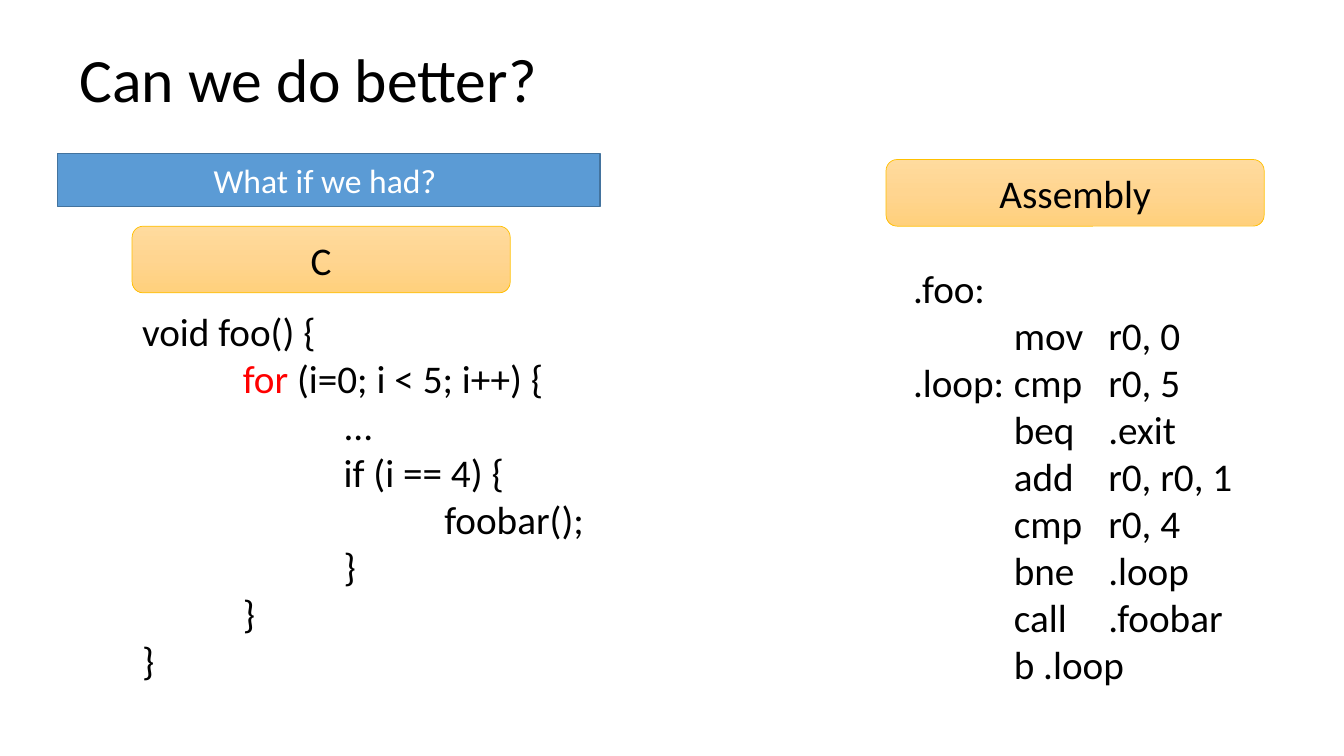
import copy

import pptx
import pptx.dml.color
import pptx.enum.shapes
import pptx.enum.text
import pptx.oxml
import pptx.oxml.ns
import pptx.util

Cm = pptx.util.Cm
Pt = pptx.util.Pt
SHAPE = pptx.enum.shapes.MSO_SHAPE
ALIGN = pptx.enum.text.PP_ALIGN
ANCHOR = pptx.enum.text.MSO_ANCHOR

FONT = "Calibri"
COLORS = {
    "text": "000000",
    "light": "FFFFFF",
    "key": "FF0000",
    "blue": "5B9BD5",
    "edge": "43739E",
    "gold": "FFC000",
    "top": "FFDB9E",
    "mid": "FFD590",
    "low": "FFD07C",
}

# Each line is a list of (text, color) runs
C_CODE = [
    [("void foo() {", "text")],
    [("\t", "text"), ("for", "key"), (" (i=0; i < 5; i++) {", "text")],
    [("\t\t...", "text")],
    [("\t\tif (i == 4) {", "text")],
    [("\t\t\tfoobar();", "text")],
    [("\t\t}", "text")],
    [("\t}", "text")],
    [("}", "text")],
]
ASM_CODE = [[(line, "text")] for line in (
    ".foo:",
    "\tmov\tr0, 0",
    ".loop:\tcmp\tr0, 5",
    "\tbeq\t.exit",
    "\tadd\tr0, r0, 1",
    "\tcmp\tr0, 4",
    "\tbne\t.loop",
    "\tcall\t.foobar",
    "\tb .loop",
)]


def rgb(name):
    return pptx.dml.color.RGBColor.from_string(COLORS[name])


def add_run(para, text, size, color="text"):
    run = para.add_run()
    run.text = text
    run.font.name = FONT
    run.font.size = Pt(size)
    run.font.color.rgb = rgb(color)


def set_tabs(para, stops):
    tabs = pptx.oxml.parse_xml(
        "<a:tabLst %s/>" % pptx.oxml.ns.nsdecls("a"))
    for stop in stops:
        tab = pptx.oxml.parse_xml(
            '<a:tab %s pos="%d" algn="l"/>' % (pptx.oxml.ns.nsdecls("a"), Cm(stop)))
        tabs.append(tab)
    para._p.get_or_add_pPr().append(tabs)


def set_title(slide, text):
    title = slide.shapes.title
    title.left, title.top = Cm(1.75), Cm(0.18)
    title.width, title.height = Cm(29.21), Cm(3.81)
    frame = title.text_frame
    frame.vertical_anchor = ANCHOR.MIDDLE
    frame.auto_size = pptx.enum.text.MSO_AUTO_SIZE.NONE
    para = frame.paragraphs[0]
    para.alignment = ALIGN.LEFT
    para.line_spacing = 0.9
    add_run(para, text, 44)


def add_code(slide, place, lines, stops):
    frame = slide.shapes.add_textbox(*map(Cm, place)).text_frame
    frame.word_wrap = True
    for row, line in enumerate(lines):
        para = frame.add_paragraph() if row else frame.paragraphs[0]
        set_tabs(para, stops)
        for text, color in line:
            add_run(para, text, 28, color)


def add_box(slide, kind, place, text, size, color, edge, width):
    box = slide.shapes.add_shape(kind, *map(Cm, place))
    box.shadow.inherit = False
    box.line.color.rgb = rgb(edge)
    box.line.width = Pt(width)
    frame = box.text_frame
    frame.vertical_anchor = ANCHOR.MIDDLE
    para = frame.paragraphs[0]
    para.alignment = ALIGN.CENTER
    add_run(para, text, size, color)
    return box


def add_label(slide, left, top, text):
    box = add_box(slide, SHAPE.ROUNDED_RECTANGLE, (left, top, 9.53, 1.68),
                  text, 28, "text", "gold", 0.5)
    box.fill.gradient()
    box.fill.gradient_angle = 270
    # Middle stop between the two default ones
    first = box.fill._xPr.find(".//" + pptx.oxml.ns.qn("a:gs"))
    first.addnext(copy.deepcopy(first))
    parts = zip(box.fill.gradient_stops, ("top", "mid", "low"), (0, 0.5, 1))
    for stop, color, pos in parts:
        stop.color.rgb = rgb(color)
        stop.position = pos


def add_banner(slide, place, text):
    box = add_box(slide, SHAPE.RECTANGLE, place, text, 24, "light", "edge", 1)
    box.fill.solid()
    box.fill.fore_color.rgb = rgb("blue")


def main():
    deck = pptx.Presentation()
    deck.slide_width, deck.slide_height = Cm(33.87), Cm(19.05)
    slide = deck.slides.add_slide(deck.slide_layouts[5])
    set_title(slide, "Can we do better?")

    # C side
    add_code(slide, (3.33, 7.62, 11.76, 9.83), C_CODE, (2.54, 5.08, 7.62))
    add_label(slide, 3.33, 5.7, "C")
    add_banner(slide, (1.45, 3.87, 13.67, 1.33), "What if we had? ")

    # Assembly side
    add_label(slide, 22.33, 4.02, "Assembly")
    add_code(slide, (22.76, 6.53, 8.69, 12.22), ASM_CODE, (2.54, 4.92))

    deck.save("out.pptx")


if __name__ == "__main__":
    main()
